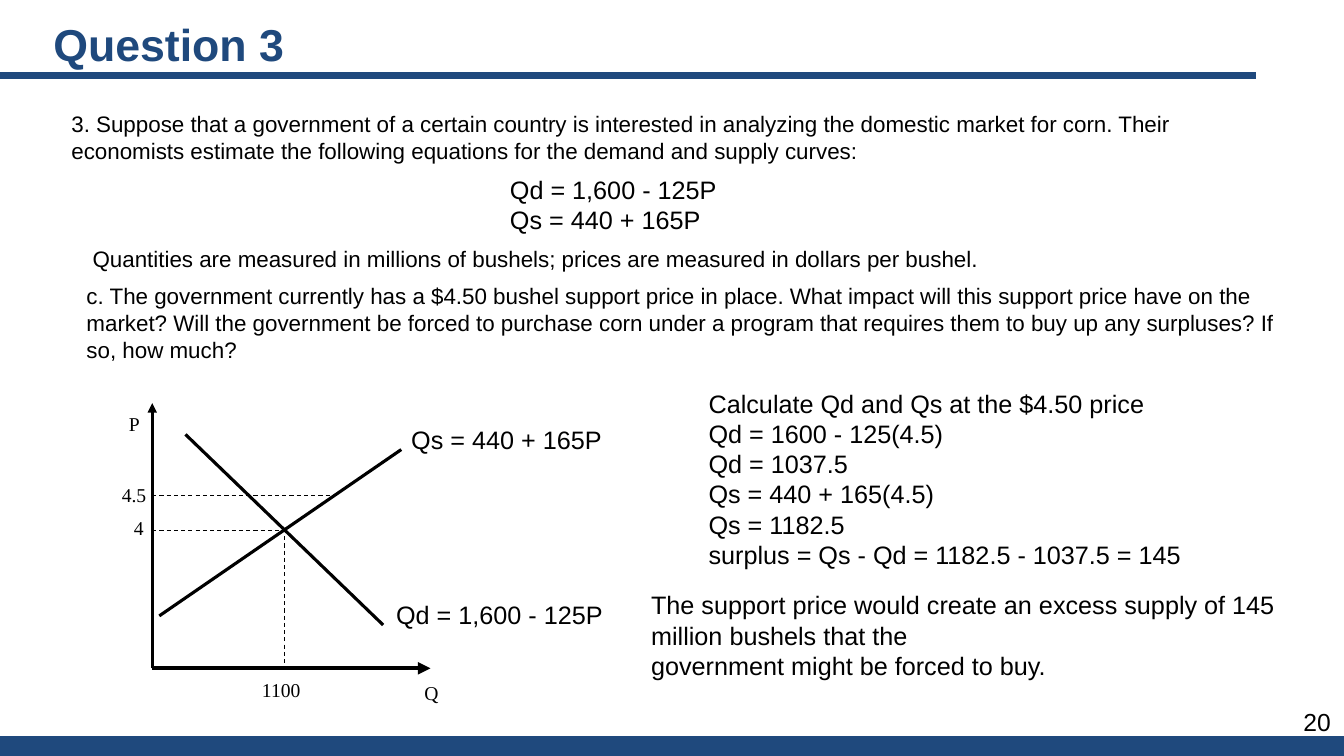
import pptx
import pptx.util
import pptx.dml.color
import pptx.enum.dml
import pptx.enum.shapes
import pptx.enum.text
import pptx.oxml

EMU_PER_PX = 9144
NAVY, BLACK = "1F497D", "000000"
SANS, SERIF = "Arial", "Times New Roman"
ANCHOR = pptx.enum.text.MSO_ANCHOR
ALIGN = pptx.enum.text.PP_ALIGN
TEXT_INSETS = (10, 5, 10, 5)
NO_INSETS = (0, 0, 0, 0)
DEMAND = "Qd = 1,600 - 125P"
SUPPLY = "Qs = 440 + 165P"


def px(length):
    """Turn a length in px into EMU."""
    return pptx.util.Emu(length * EMU_PER_PX)


def color(code):
    """Turn a hex string into a colour."""
    return pptx.dml.color.RGBColor.from_string(code)


def set_values(target, values):
    """Set each attribute named in a dict."""
    for name, value in values.items():
        setattr(target, name, value)


def add_text(slide, box, lines, size, font=SANS, ink=BLACK, bold=False,
             align=ALIGN.LEFT, anchor=ANCHOR.TOP, insets=TEXT_INSETS):
    """Add a wrapped text box with one paragraph per line."""
    frame = slide.shapes.add_textbox(*map(px, box)).text_frame
    sides = ("margin_left", "margin_top", "margin_right", "margin_bottom")
    set_values(frame, {"word_wrap": True, "vertical_anchor": anchor,
                       **dict(zip(sides, map(px, insets)))})
    for index, line in enumerate(lines):
        paragraph = frame.add_paragraph() if index else frame.paragraphs[0]
        paragraph.alignment = align
        run = paragraph.add_run()
        run.text = line
        set_values(run.font, {"name": font, "size": pptx.util.Pt(size), "bold": bold})
        run.font.color.rgb = color(ink)


def add_line(slide, start, end, width, ink=BLACK, dashed=False, arrow=False):
    """Add a straight line, dashed or with an arrowhead if asked."""
    connector = slide.shapes.add_connector(
        pptx.enum.shapes.MSO_CONNECTOR.STRAIGHT, *map(px, (*start, *end)))
    connector.line.width = pptx.util.Pt(width)
    connector.line.color.rgb = color(ink)
    if dashed:
        connector.line.dash_style = pptx.enum.dml.MSO_LINE.DASH
    namespace = pptx.oxml.ns.nsdecls("a")
    if arrow:
        connector.line._get_or_add_ln().append(
            pptx.oxml.parse_xml(f'<a:tailEnd {namespace} type="triangle"/>'))
    connector._element.spPr.append(pptx.oxml.parse_xml(f"<a:effectLst {namespace}/>"))


def add_header(slide, left, top, width, height):
    """Add the title and the rule below it."""
    add_line(slide, (left, top + height), (left + width, top + height), 4.5, NAVY)
    add_text(slide, (left + 53, top + 15, 1027, 57), ["Question 3"], 31.9, ink=NAVY,
             bold=True, anchor=ANCHOR.MIDDLE, insets=NO_INSETS)


def add_footer(slide, left, top, width, height):
    """Add the bottom bar and the page number above it."""
    bar = slide.shapes.add_shape(pptx.enum.shapes.MSO_SHAPE.RECTANGLE,
                                 *map(px, (left, top, width, height)))
    bar.shadow.inherit = False
    bar.fill.solid()
    bar.fill.fore_color.rgb = color(NAVY)
    bar.line.color.rgb = color(NAVY)
    bar.line.width = pptx.util.Pt(2)
    add_text(slide, (left + width - 113, top - 31, 100, 29), ["20"], 17.6,
             align=ALIGN.RIGHT, insets=NO_INSETS)


def add_question(slide, left, top, width, height):
    """Add the problem statement, its equations and part c."""
    add_text(slide, (left, top, width - 85, 64), [
        "3. Suppose that a government of a certain country is interested in analyzing "
        "the domestic market for corn. Their economists estimate the following "
        "equations for the demand and supply curves:"], 16)
    add_text(slide, (left + 435, top + 64, 230, 71), [DEMAND, SUPPLY], 18)
    add_text(slide, (left + 21, top + 134, 1058, 37), [
        "Quantities are measured in millions of bushels; "
        "prices are measured in dollars per bushel."], 16)
    add_text(slide, (left + 15, top + height - 91, width - 15, 91), [
        "c. The government currently has a $4.50 bushel support price in place. What "
        "impact will this support price have on the market? Will the government be "
        "forced to purchase corn under a program that requires them to buy up any "
        "surpluses? If so, how much?"], 16)


def add_graph(slide, left, top, width, height):
    """Add the supply and demand graph with its guides and labels."""
    axis_x, axis_y = left + 40, top + 263
    equilibrium_x, equilibrium_y = axis_x + 131, top + 126
    support_y = top + 92
    add_line(slide, (axis_x, axis_y), (axis_x, top), 2.25, arrow=True)
    add_line(slide, (axis_x, axis_y), (axis_x + 276, axis_y), 3, arrow=True)
    add_line(slide, (axis_x + 7, top + 211), (axis_x + 247, top + 46), 2.25)
    add_line(slide, (axis_x + 33, top + 31), (axis_x + 229, top + 220), 2.25)
    guides = (
        ((axis_x, equilibrium_y), (equilibrium_x, equilibrium_y)),
        ((equilibrium_x, equilibrium_y + 6), (equilibrium_x, axis_y)),
        ((axis_x, support_y), (axis_x + 177, support_y)),
    )
    for start, end in guides:
        add_line(slide, start, end, 0.75, dashed=True)
    axis_labels = (
        ("P", left + 7, top + 4, 33),
        ("Q", left + 300, top + 271, 33),
        ("4", left + 12, equilibrium_y - 19, 33),
        ("4.5", left, support_y - 18, 57),
        ("1100", equilibrium_x - 32, top + 268, 78),
    )
    for label, x, y, label_width in axis_labels:
        add_text(slide, (x, y, label_width, 34), [label], 14, SERIF)
    add_text(slide, (left + width - 239, top + 190, 239, 40), [DEMAND], 18)
    add_text(slide, (left + 287, top + 16, 211, 40), [SUPPLY], 18)


def add_answer(slide, left, top, width, height):
    """Add the calculation and the conclusion."""
    add_text(slide, (left + 57, top, 553, 192), [
        "Calculate Qd and Qs at the $4.50 price",
        "Qd = 1600 - 125(4.5)",
        "Qd = 1037.5",
        "Qs = 440 + 165(4.5)",
        "Qs = 1182.5",
        "surplus = Qs - Qd = 1182.5 - 1037.5 = 145"], 18)
    add_text(slide, (left, top + height - 101, width, 101), [
        "The support price would create an excess supply of 145 million bushels that the",
        "government might be forced to buy."], 18)


def main():
    """Build the slide and save it."""
    presentation = pptx.Presentation()
    set_values(presentation, {"slide_width": px(1333), "slide_height": px(750)})
    slide = presentation.slides.add_slide(presentation.slide_layouts[6])
    add_header(slide, 0, 0, 1246, 75)
    add_footer(slide, 0, 732, 1333, 18)
    add_question(slide, 61, 104, 1218, 262)
    add_graph(slide, 111, 400, 511, 305)
    add_answer(slide, 636, 380, 687, 301)
    presentation.save("out.pptx")


if __name__ == "__main__":
    main()
